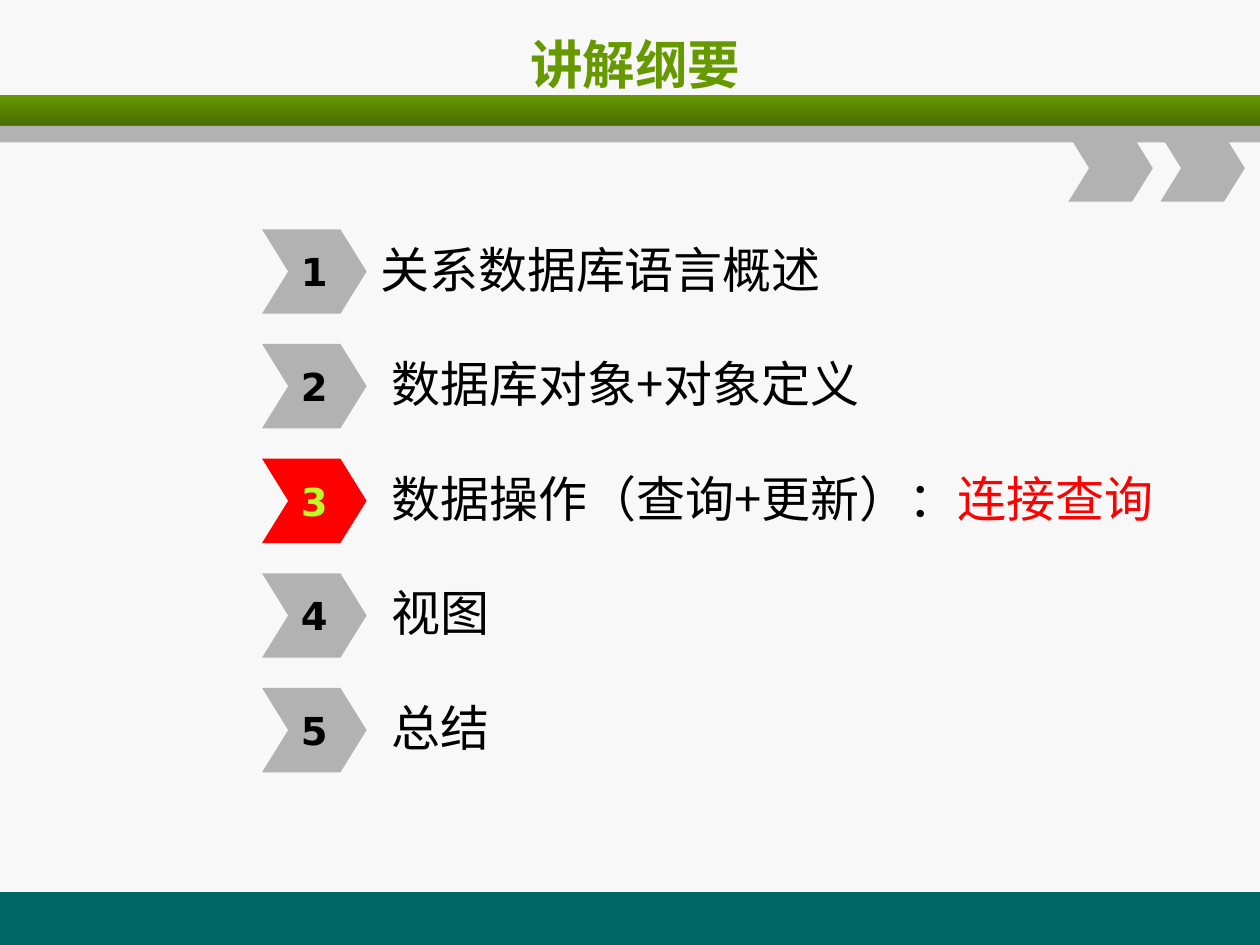
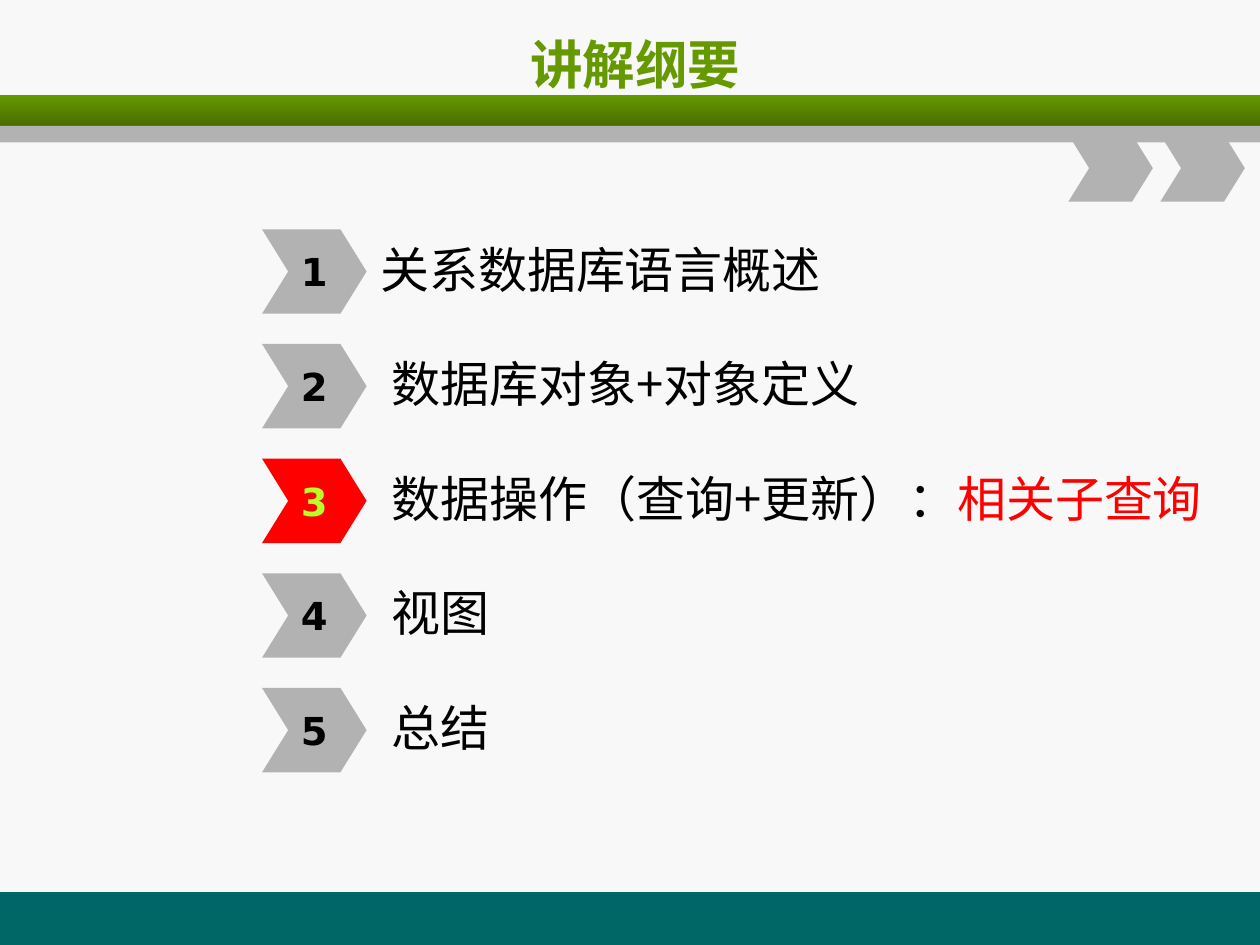
from pptx import Presentation
from pptx.dml.color import RGBColor
from pptx.enum.shapes import MSO_SHAPE
from pptx.enum.text import MSO_ANCHOR, MSO_AUTO_SIZE, PP_ALIGN
from pptx.oxml.ns import qn
from pptx.util import Inches, Pt

RECTANGLE, CHEVRON = MSO_SHAPE.RECTANGLE, MSO_SHAPE.CHEVRON
MIDDLE, CENTER, LEFT = MSO_ANCHOR.MIDDLE, PP_ALIGN.CENTER, PP_ALIGN.LEFT

PAPER, TEAL, GREEN, DARK_GREEN = "F8F8F8", "006666", "669900", "496D00"
GRAY, RED, LIME, BLACK = "B2B2B2", "FF0000", "B8FF29", "000000"
TEXT_FONT, NUMBER_FONT = "Noto Sans CJK SC", "DejaVu Sans"
color = RGBColor.from_string

# Grid of the outline
MARKER_LEFT, MARKER_WIDTH, MARKER_HEIGHT = 2.08, 0.83, 0.67
FIRST_ROW, ROW_STEP = 1.82, 0.91
LABEL_LEFT, LABEL_HEIGHT = 2.92, 0.58
ACTIVE = 3
OUTLINE = ["关系数据库语言概述", "数据库对象+对象定义", "数据操作（查询+更新）：", "视图", "总结"]
# Topic of the active row and the width of its label, slide by slide
TOPICS = [("连接查询", 5.92), ("相关子查询", 6.89)]


def add_block(page, kind, left, top, width, height, fill):
    block = page.shapes.add_shape(kind, Inches(left), Inches(top), Inches(width), Inches(height))
    block.shadow.inherit = False
    block.line.fill.background()
    block.fill.solid()
    block.fill.fore_color.rgb = color(fill)
    return block


def style_text(shape, size, tint, font=TEXT_FONT, bold=False, align=CENTER):
    frame = shape.text_frame
    frame.auto_size = MSO_AUTO_SIZE.NONE
    frame.vertical_anchor = MIDDLE
    para = frame.paragraphs[0]
    para.alignment = align
    for span in para.runs:
        span.font.size, span.font.bold, span.font.name = Pt(size), bold, font
        span.font.color.rgb = color(tint)
        east_asian = span.font._element.makeelement(qn("a:ea"), {"typeface": font})
        span.font._element.append(east_asian)


deck = Presentation()
deck.slide_width, deck.slide_height = Inches(10), Inches(7.5)
deck.slide_master.background.fill.solid()
deck.slide_master.background.fill.fore_color.rgb = color(PAPER)

for topic, topic_width in TOPICS:
    page = deck.slides.add_slide(deck.slide_layouts[5])

    # Footer and header bands
    add_block(page, RECTANGLE, 0, 7.08, 10, 0.42, TEAL)
    header = add_block(page, RECTANGLE, 0, 0.75, 10, 0.25, GREEN)
    header.fill.gradient()
    header.fill.gradient_angle = 270
    for stop, tint in zip(header.fill.gradient_stops, (GREEN, DARK_GREEN)):
        stop.color.rgb = color(tint)
    add_block(page, RECTANGLE, 0, 1, 10, 0.13, GRAY)
    for left in (8.48, 9.21):
        add_block(page, CHEVRON, left, 1.07, 0.67, 0.53, GRAY).adjustments[0] = 0.31

    # Title, in front of the bands
    title = page.shapes.title
    title.left, title.top, title.width, title.height = map(Inches, (0.54, 0.17, 9, 0.67))
    title.text_frame.text = "讲解纲要"
    style_text(title, 30, GREEN, bold=True)
    page.shapes.element.append(title.element)

    # Outline rows
    for number, item in enumerate(OUTLINE, 1):
        active = number == ACTIVE
        top = FIRST_ROW + (number - 1) * ROW_STEP

        label = page.shapes.add_textbox(
            Inches(LABEL_LEFT), Inches(top + 0.02),
            Inches(topic_width if active else 5.92), Inches(LABEL_HEIGHT))
        label.text_frame.text = item
        label.text_frame.word_wrap = False
        label.text_frame.margin_left = Inches(0.1 if number == 1 else 0.19)
        if active:
            label.text_frame.paragraphs[0].add_run().text = topic
        style_text(label, 28, BLACK, align=LEFT)
        if active:
            label.text_frame.paragraphs[0].runs[1].font.color.rgb = color(RED)

        marker = add_block(page, CHEVRON, MARKER_LEFT, top, MARKER_WIDTH, MARKER_HEIGHT,
                           RED if active else GRAY)
        marker.adjustments[0] = 0.31
        marker.text_frame.text = str(number)
        marker.text_frame.word_wrap = False
        style_text(marker, 22, LIME if active else BLACK, NUMBER_FONT, bold=True)

deck.save("out.pptx")
